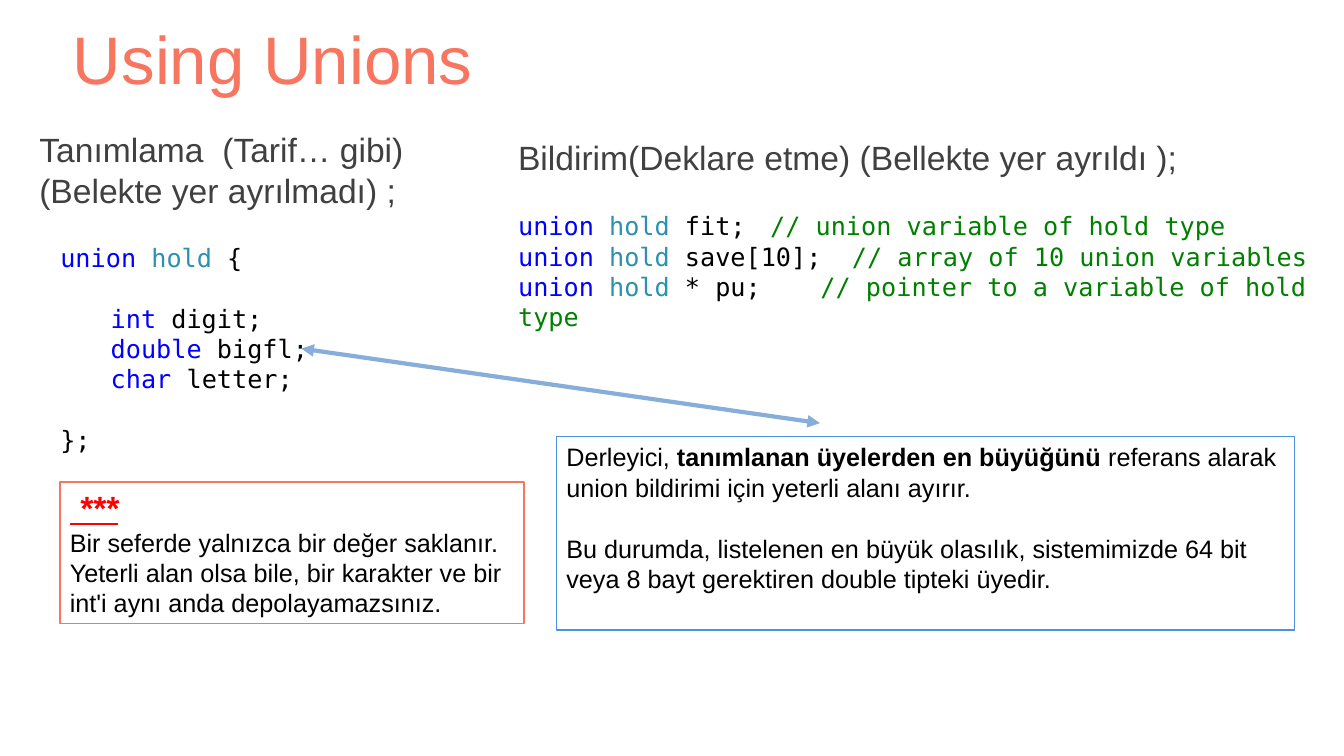
from lxml.etree import SubElement
from pptx import Presentation
from pptx.dml.color import RGBColor
from pptx.enum.shapes import MSO_CONNECTOR, MSO_SHAPE
from pptx.enum.text import MSO_ANCHOR, PP_ALIGN
from pptx.oxml.ns import qn
from pptx.util import Pt

PX = 9525
SANS, MONO = "Arial", "DejaVu Sans Mono"
CORAL, BLUE, ARROW = "F77660", "4C93DF", "87ADDB"
GREY, BLACK, WHITE, RED = "404040", "000000", "FFFFFF", "FF0000"
KEYWORD, TYPE, COMMENT = "0000FF", "2B91AF", "008000"
BLANK_LINE = 22


def color(value):
    """Turn a hex string into a colour."""
    return RGBColor.from_string(value)


def px(*lengths):
    """Turn pixel lengths into EMU."""
    return [length * PX for length in lengths]


def add_line(frame, runs, size=18, font=SANS, ink=BLACK, bold=False, italic=False,
             underline=False, before=0, indent=0, tab=0):
    """Add a paragraph of (text, format) runs to a text frame."""
    first = frame.paragraphs[0]
    line = first if not first.runs else frame.add_paragraph()
    line.alignment = PP_ALIGN.LEFT
    line.space_before = Pt(before)
    properties = line._p.get_or_add_pPr()
    properties.set("marL", str(indent * PX))
    if tab:
        stops = SubElement(properties, qn("a:tabLst"))
        SubElement(stops, qn("a:tab"), pos=str(tab * PX), algn="l")
    for text, changes in runs:
        run = line.add_run()
        run.text = text
        run.font.size = Pt(size)
        run.font.name = font
        run.font.color.rgb = color(changes.get("ink", ink))
        run.font.bold = changes.get("bold", bold)
        run.font.italic = italic
        run.font.underline = underline


def add_text(slide, box, anchor=MSO_ANCHOR.TOP):
    """Add a wrapping text box and return its frame."""
    frame = slide.shapes.add_textbox(*px(*box)).text_frame
    frame.word_wrap = True
    frame.vertical_anchor = anchor
    return frame


def add_note(slide, box, border):
    """Add a white bordered rectangle and return its frame."""
    note = slide.shapes.add_shape(MSO_SHAPE.RECTANGLE, *px(*box))
    note.shadow.inherit = False
    note.fill.solid()
    note.fill.fore_color.rgb = color(WHITE)
    note.line.color.rgb = color(border)
    note.line.width = Pt(1)
    note.text_frame.word_wrap = True
    note.text_frame.vertical_anchor = MSO_ANCHOR.TOP
    return note.text_frame


def add_heading(slide, box, lines, size=24, ink=GREY):
    """Add a vertically centred heading."""
    frame = add_text(slide, box, MSO_ANCHOR.MIDDLE)
    for text in lines:
        add_line(frame, [(text, {})], size=size, ink=ink)


def union_hold():
    """Return the coloured runs of the union type name."""
    return [("union ", {"ink": KEYWORD}), ("hold", {"ink": TYPE})]


def add_definition(slide, left, top, width):
    """Place the heading and code that define the union."""
    add_heading(slide, (left, top, width, 87),
                ["Tanımlama  (Tarif… gibi)", "(Belekte yer ayrılmadı) ;"])
    code = add_text(slide, (left + 20, top + 108, 273, 213))
    add_line(code, union_hold() + [(" {", {})], font=MONO)
    members = [("int ", "digit;"), ("double ", "bigfl;"), ("char ", "letter;")]
    for index, (keyword, name) in enumerate(members):
        add_line(code, [(keyword, {"ink": KEYWORD}), (name, {})], font=MONO,
                 indent=48, before=0 if index else BLANK_LINE)
    add_line(code, [("};", {})], font=MONO, before=BLANK_LINE)


def add_declaration(slide, left, top, width):
    """Place the heading and code that declare union variables."""
    add_heading(slide, (left, top, 667, 48),
                ["Bildirim(Deklare etme) (Bellekte yer ayrıldı );"])
    code = add_text(slide, (left, top + 70, width, 97))
    for variable, remark in [
        (" fit; \t", "// union variable of hold type"),
        (" save[10];  ", "// array of 10 union variables"),
        (" * pu; \t", "// pointer to a variable of hold type"),
    ]:
        add_line(code, union_hold() + [(variable, {}), (remark, {"ink": COMMENT})],
                 font=MONO)


def add_size_note(slide, box):
    """Place the note on how much memory is reserved."""
    note = add_note(slide, box, BLUE)
    add_line(note, [
        ("Derleyici, ", {}),
        ("tanımlanan üyelerden en büyüğünü ", {"bold": True}),
        ("referans alarak union bildirimi için yeterli alanı ayırır.", {}),
    ])
    add_line(note, [("Bu durumda, listelenen en büyük olasılık, sistemimizde 64 bit "
                     "veya 8 bayt gerektiren double tipteki üyedir.", {})],
             before=BLANK_LINE)


def add_value_note(slide, box):
    """Place the warning that only one value is stored."""
    note = add_note(slide, box, CORAL)
    add_line(note, [(" ***\t", {})], size=24, ink=RED, bold=True, italic=True,
             underline=True, tab=72)
    for text in ["Bir seferde yalnızca bir değer saklanır.",
                 "Yeterli alan olsa bile, bir karakter ve bir int'i aynı anda "
                 "depolayamazsınız."]:
        add_line(note, [(text, {})])


def add_double_arrow(slide, start, end):
    """Link the largest member with its note."""
    arrow = slide.shapes.add_connector(MSO_CONNECTOR.STRAIGHT, *px(*start, *end))
    arrow.line.color.rgb = color(ARROW)
    arrow.line.width = Pt(3)
    outline = arrow.line._get_or_add_ln()
    for tip in ("a:headEnd", "a:tailEnd"):
        SubElement(outline, qn(tip), type="triangle")
    SubElement(arrow._element.spPr, qn("a:effectLst"))


def main():
    """Build and save the slide."""
    deck = Presentation()
    deck.slide_width, deck.slide_height = px(1280, 720)
    slide = deck.slides.add_slide(deck.slide_layouts[6])
    add_heading(slide, (60, 11, 522, 87), ["Using Unions"], size=48, ink=CORAL)
    add_definition(slide, 28, 118, 409)
    add_declaration(slide, 484, 126, 812)
    add_size_note(slide, (530, 416, 703, 184))
    add_double_arrow(slide, (287, 332), (781, 403))
    add_value_note(slide, (57, 459, 442, 135))
    deck.save("out.pptx")


if __name__ == "__main__":
    main()
